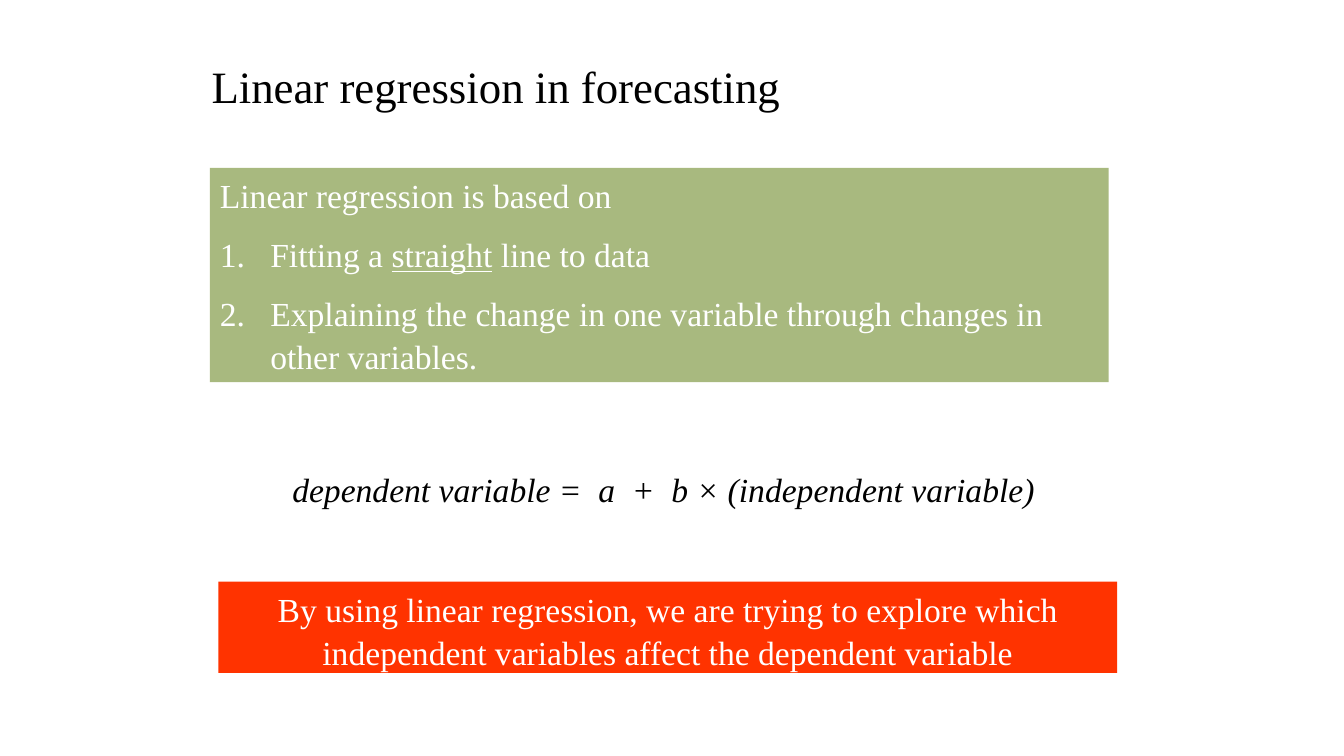
from lxml.etree import SubElement
from pptx import Presentation
from pptx.dml.color import RGBColor
from pptx.enum.shapes import MSO_SHAPE
from pptx.enum.text import MSO_ANCHOR, PP_ALIGN
from pptx.oxml.ns import qn
from pptx.util import Pt

PX = 9525
FONT = "Times New Roman"
COLORS = {"ink": "000000", "paper": "FFFFFF", "green": "A8B97F", "red": "FF3300"}
INDENT = 48


def rgb(name):
    """Look up a palette colour."""
    return RGBColor.from_string(COLORS[name])


def add_box(slide, box, fill=None):
    """Add a text area, filled if a colour is given, and return its text frame."""
    place = [length * PX for length in box]
    if fill:
        panel = slide.shapes.add_shape(MSO_SHAPE.RECTANGLE, *place)
        panel.shadow.inherit = False
        panel.fill.solid()
        panel.fill.fore_color.rgb = rgb(fill)
        panel.line.fill.background()
    else:
        panel = slide.shapes.add_textbox(*place)
    frame = panel.text_frame
    frame.word_wrap = True
    frame.vertical_anchor = MSO_ANCHOR.TOP
    return frame


def write(paragraph, pieces, size, color, align=PP_ALIGN.LEFT, italic=False):
    """Fill a paragraph with (text, underlined) runs."""
    paragraph.alignment = align
    paragraph.line_spacing = 1.06
    for text, underlined in pieces:
        run = paragraph.add_run()
        run.text = text
        run.font.name = FONT
        run.font.size = Pt(size)
        run.font.color.rgb = rgb(color)
        run.font.italic = italic
        run.font.underline = underlined


def add_title(slide, box):
    """Place the slide title."""
    title = add_box(slide, box).paragraphs[0]
    write(title, [("Linear regression in forecasting", False)], 32, "ink")


def add_basis(slide, box):
    """Place the green panel with its introduction and numbered points."""
    frame = add_box(slide, box, "green")
    write(frame.paragraphs[0], [("Linear regression is based on", False)], 24, "paper")
    points = [
        [("Fitting a ", False), ("straight", True), (" line to data", False)],
        [("Explaining the change in one variable through changes in other variables.", False)],
    ]
    for pieces in points:
        point = frame.add_paragraph()
        point.space_before = Pt(11.5)
        write(point, pieces, 24, "paper")
        properties = point._p.get_or_add_pPr()
        properties.set("marL", str(INDENT * PX))
        properties.set("indent", str(-INDENT * PX))
        SubElement(properties, qn("a:buFont"), typeface=FONT)
        SubElement(properties, qn("a:buAutoNum"), type="arabicPeriod")


def add_conclusion(slide, box):
    """Place the red panel with the purpose of the method."""
    conclusion = add_box(slide, box, "red").paragraphs[0]
    text = ("By using linear regression, we are trying to explore which "
            "independent variables affect the dependent variable")
    write(conclusion, [(text, False)], 24, "paper", PP_ALIGN.CENTER)


def add_equation(slide, box):
    """Place the regression equation."""
    equation = add_box(slide, box).paragraphs[0]
    text = "dependent variable =  a  +  b × (independent variable)"
    write(equation, [(text, False)], 24, "ink", PP_ALIGN.CENTER, italic=True)


def main():
    """Build and save the slide."""
    deck = Presentation()
    deck.slide_width, deck.slide_height = 1280 * PX, 720 * PX
    slide = deck.slides.add_slide(deck.slide_layouts[6])
    add_title(slide, (192, 48, 896, 60))
    add_basis(slide, (200, 160, 856, 204))
    add_conclusion(slide, (208, 554, 856, 87))
    add_equation(slide, (208, 440, 848, 48))
    deck.save("out.pptx")


if __name__ == "__main__":
    main()
